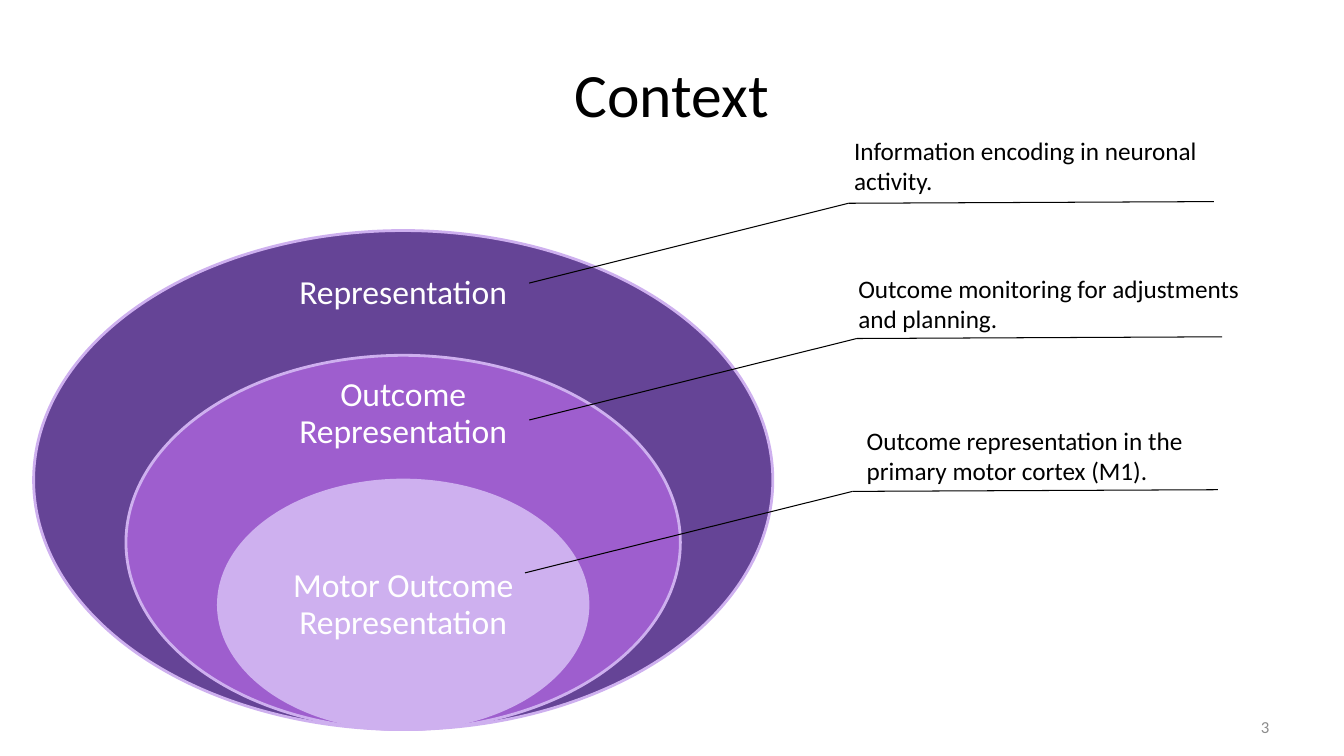
from dataclasses import dataclass

from lxml.etree import SubElement
from pptx import Presentation
from pptx.dml.color import RGBColor
from pptx.enum.shapes import MSO_CONNECTOR, MSO_SHAPE
from pptx.enum.text import MSO_ANCHOR, PP_ALIGN
from pptx.oxml.ns import qn
from pptx.slide import Slide
from pptx.text.text import TextFrame
from pptx.util import Inches, Length, Pt

FONT = "Calibri"
BLACK = RGBColor(0x00, 0x00, 0x00)
WHITE = RGBColor(0xFF, 0xFF, 0xFF)
GREY = RGBColor(0x8C, 0x8C, 0x8C)
INDIGO = RGBColor(0x65, 0x44, 0x96)
PURPLE = RGBColor(0x9E, 0x5E, 0xCE)
LILAC = RGBColor(0xCE, 0xB0, 0xEF)

# The slide is a grid of square cells, 160 columns by 90 rows.
COLUMNS, ROWS = 160, 90
CELLS_PER_INCH = 12

# All ovals share a centre column and a bottom row.
CENTRE, BOTTOM = 48, 86.85
OVAL_WIDTH, OVAL_HEIGHT = 88, 59.4
LABEL_WIDTH = 31.1
NOTE_HEIGHT = 8.5
UNDERLINE_WIDTH, UNDERLINE_RISE = 43.5, 0.2

Point = tuple[float, float]
Area = tuple[float, float, float, float]


@dataclass(frozen=True)
class Layer:
    label: str
    scale: float
    fill: RGBColor
    label_top: float
    label_height: float


@dataclass(frozen=True)
class Callout:
    note: str
    note_at: Point
    note_width: float
    start: Point
    elbow: Point


LAYERS = [
    Layer("Representation", 1, INDIGO, 30.5, 8.9),
    Layer("Outcome Representation", 0.75, PURPLE, 45.1, 8.4),
    Layer("Motor Outcome Representation", 0.5, LILAC, 64.6, 14.9),
]
CALLOUTS = [
    Callout("Information encoding in neuronal activity.",
            (100.5, 15.5), 45, (63, 33.7), (101, 24.2)),
    Callout("Outcome monitoring for adjustments and planning.",
            (101, 31.9), 51, (63, 50), (102, 40.3)),
    Callout("Outcome representation in the primary motor cortex (M1).",
            (102, 50), 41, (62.5, 68.2), (101.5, 58.5)),
]


def cells(count: float) -> Length:
    return Inches(count / CELLS_PER_INCH)


def write(frame: TextFrame, text: str, *, size: float, color: RGBColor = BLACK,
          align: PP_ALIGN = PP_ALIGN.LEFT, anchor: MSO_ANCHOR = MSO_ANCHOR.TOP,
          inset: float | None = None, line_spacing: float | None = None) -> None:
    frame.word_wrap = True
    frame.vertical_anchor = anchor
    if inset is not None:
        frame.margin_left = frame.margin_right = Inches(inset)
        frame.margin_top = frame.margin_bottom = Inches(inset)
    para = frame.paragraphs[0]
    para.alignment = align
    para.line_spacing = line_spacing
    span = para.add_run()
    span.text = text
    span.font.name = FONT
    span.font.size = Pt(size)
    span.font.color.rgb = color


def add_text(page: Slide, area: Area) -> TextFrame:
    return page.shapes.add_textbox(*map(cells, area)).text_frame


def add_title(page: Slide, text: str) -> None:
    title = page.shapes.title
    title.left, title.top, title.width, title.height = map(cells, (8, 3.6, 144, 15))
    write(title.text_frame, text, size=44, align=PP_ALIGN.CENTER,
          anchor=MSO_ANCHOR.MIDDLE)


def add_layer(page: Slide, layer: Layer) -> None:
    width, height = OVAL_WIDTH * layer.scale, OVAL_HEIGHT * layer.scale
    area = (CENTRE - width / 2, BOTTOM - height, width, height)
    oval = page.shapes.add_shape(MSO_SHAPE.OVAL, *map(cells, area))
    oval.shadow.inherit = False
    oval.fill.solid()
    oval.fill.fore_color.rgb = layer.fill
    oval.line.color.rgb = LILAC
    oval.line.width = Pt(2)
    label = add_text(page, (CENTRE - LABEL_WIDTH / 2, layer.label_top,
                            LABEL_WIDTH, layer.label_height))
    write(label, layer.label, size=24, color=WHITE, align=PP_ALIGN.CENTER,
          anchor=MSO_ANCHOR.MIDDLE, inset=0.19, line_spacing=0.9)


def add_line(page: Slide, start: Point, end: Point) -> None:
    line = page.shapes.add_connector(MSO_CONNECTOR.STRAIGHT,
                                     *map(cells, (*start, *end)))
    line.line.color.rgb = BLACK
    line.line.width = Pt(0.75)
    SubElement(line._element.spPr, qn("a:effectLst"))


def add_callout(page: Slide, callout: Callout) -> None:
    note = add_text(page, (*callout.note_at, callout.note_width, NOTE_HEIGHT))
    write(note, callout.note, size=18)
    column, row = callout.elbow
    add_line(page, callout.start, callout.elbow)
    add_line(page, callout.elbow, (column + UNDERLINE_WIDTH, row - UNDERLINE_RISE))


def main() -> None:
    deck = Presentation()
    deck.slide_width, deck.slide_height = cells(COLUMNS), cells(ROWS)
    page = deck.slides.add_slide(deck.slide_layouts.get_by_name("Title Only"))
    add_title(page, "Context")
    for layer in LAYERS:
        add_layer(page, layer)
    for callout in CALLOUTS:
        add_callout(page, callout)
    write(add_text(page, (115, 84.1, 37.3, 4.8)), "3", size=12, color=GREY,
          align=PP_ALIGN.RIGHT, anchor=MSO_ANCHOR.MIDDLE)
    deck.save("out.pptx")


if __name__ == "__main__":
    main()
